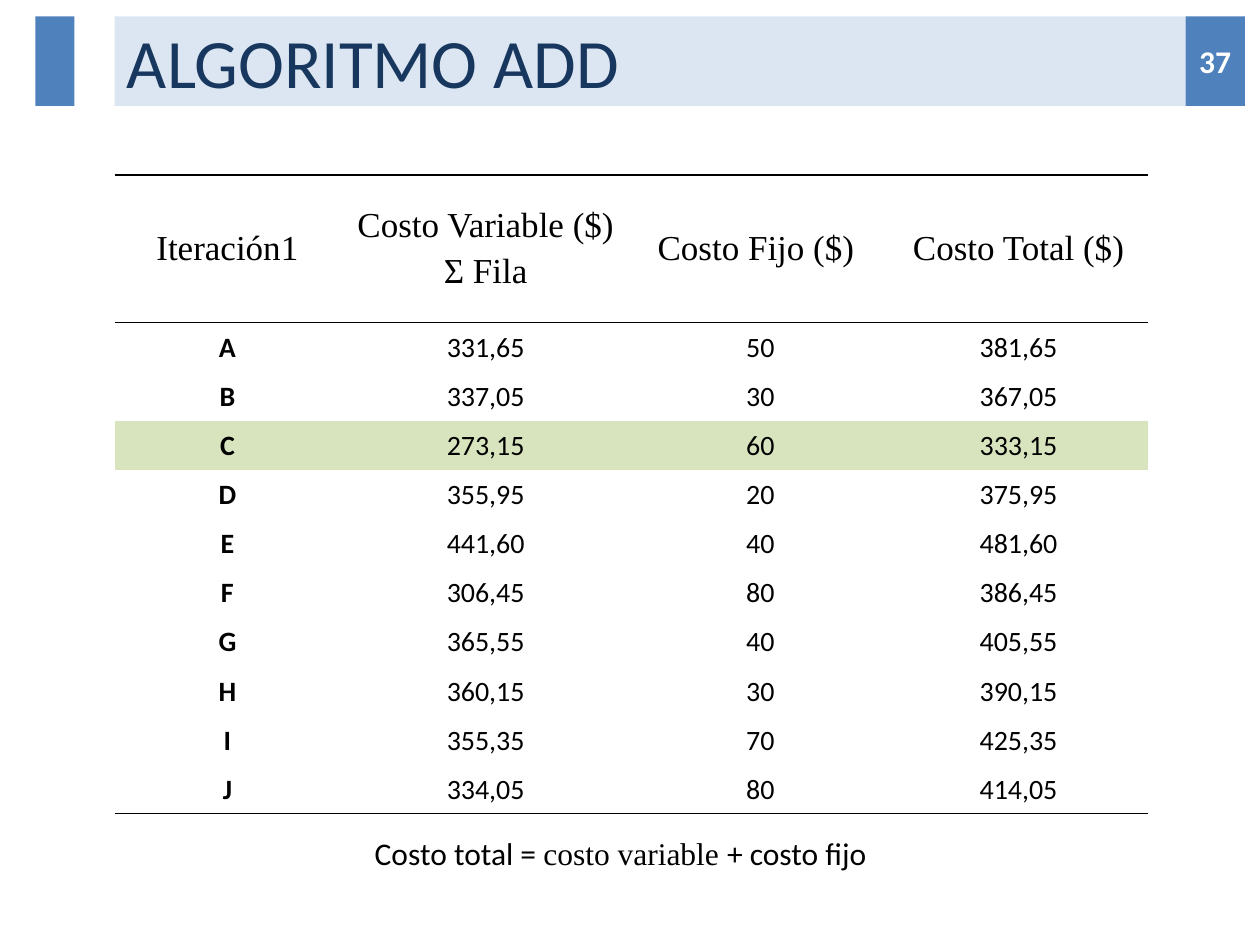
from lxml.etree import SubElement
from pptx import Presentation
from pptx.dml.color import RGBColor
from pptx.enum.shapes import MSO_SHAPE
from pptx.enum.text import MSO_ANCHOR, PP_ALIGN
from pptx.oxml.ns import qn
from pptx.util import Inches, Pt

BLACK = RGBColor(0x00, 0x00, 0x00)
WHITE = RGBColor(0xFF, 0xFF, 0xFF)
NAVY = RGBColor(0x17, 0x37, 0x5E)
BLUE = RGBColor(0x4F, 0x81, 0xBD)
PALE_BLUE = RGBColor(0xDC, 0xE6, 0xF2)
PALE_GREEN = RGBColor(0xD7, 0xE4, 0xBD)
SANS, SERIF = "Calibri", "Times New Roman"

HEADERS = ["Iteración1", "Costo Variable ($)\nΣ Fila", "Costo Fijo ($) ", "Costo Total ($)"]
COSTS = [  # location, variable cost, fixed cost
    ("A", 331.65, 50), ("B", 337.05, 30), ("C", 273.15, 60), ("D", 355.95, 20),
    ("E", 441.60, 40), ("F", 306.45, 80), ("G", 365.55, 40), ("H", 360.15, 30),
    ("I", 355.35, 70), ("J", 334.05, 80),
]
COLUMN_WIDTHS = [1.79, 2.31, 2.05, 2.05]
HEADER_HEIGHT, ROW_HEIGHT = 1.17, 0.39


def format_text(frame, size, font, color=BLACK, bold=False, align=PP_ALIGN.CENTER, before=0):
    for paragraph in frame.paragraphs:
        paragraph.alignment = align
        paragraph.space_before = Pt(before)
        for run in paragraph.runs:
            run.font.size, run.font.name, run.font.bold = Pt(size), font, bold
            run.font.color.rgb = color


def add_block(slide, left, top, width, height, fill, text=""):
    block = slide.shapes.add_shape(
        MSO_SHAPE.RECTANGLE, Inches(left), Inches(top), Inches(width), Inches(height))
    block.shadow.inherit = False
    block.fill.solid()
    block.fill.fore_color.rgb = fill
    block.line.fill.background()
    frame = block.text_frame
    frame.text = text
    frame.vertical_anchor = MSO_ANCHOR.MIDDLE
    return frame


def add_header(slide, left, top, width, height):
    page_width, accent_width, title_offset = 0.47, 0.31, 0.63
    page_left = left + width - page_width
    title_left = left + title_offset
    title = add_block(slide, title_left, top, page_left - title_left, height,
                      PALE_BLUE, "ALGORITMO ADD")
    format_text(title, 39.6, SANS, NAVY, align=PP_ALIGN.LEFT)
    add_block(slide, left, top, accent_width, height, BLUE)
    page = add_block(slide, page_left, top, page_width, height, BLUE, "37")
    page.margin_left = page.margin_right = 0
    format_text(page, 18, SANS, WHITE, bold=True)


def set_borders(cell, top, bottom):
    """Rule the chosen horizontal edges in black and clear the other edges."""
    properties = cell._tc.get_or_add_tcPr()
    for tag, ruled in (("lnL", False), ("lnR", False), ("lnT", top), ("lnB", bottom)):
        edge = SubElement(properties, qn(f"a:{tag}"), w=str(Pt(1)))
        if ruled:
            fill = SubElement(edge, qn("a:solidFill"))
            SubElement(fill, qn("a:srgbClr"), val=str(BLACK))
        else:
            SubElement(edge, qn("a:noFill"))


def with_comma(amount):
    return f"{amount:.2f}".replace(".", ",")


def add_cost_table(slide, left, top):
    rows = [HEADERS] + [
        [place, with_comma(variable), str(fixed), with_comma(variable + fixed)]
        for place, variable, fixed in COSTS]
    cheapest = min(COSTS, key=lambda cost: cost[1] + cost[2])[0]
    height = HEADER_HEIGHT + ROW_HEIGHT * len(COSTS)
    table = slide.shapes.add_table(
        len(rows), len(HEADERS), Inches(left), Inches(top),
        Inches(sum(COLUMN_WIDTHS)), Inches(height)).table
    table.first_row = table.horz_banding = False
    for column, width in zip(table.columns, COLUMN_WIDTHS):
        column.width = Inches(width)

    for r, values in enumerate(rows):
        table.rows[r].height = Inches(ROW_HEIGHT if r else HEADER_HEIGHT)
        for c, value in enumerate(values):
            cell = table.cell(r, c)
            cell.text_frame.text = value
            cell.vertical_anchor = MSO_ANCHOR.MIDDLE
            set_borders(cell, top=r < 2, bottom=r in (0, len(rows) - 1))
            if values[0] == cheapest:
                cell.fill.solid()
                cell.fill.fore_color.rgb = PALE_GREEN
            else:
                cell.fill.background()
            if r == 0:
                format_text(cell.text_frame, 20, SERIF, before=4)
            else:
                cell.margin_left = cell.margin_right = cell.margin_top = Inches(0.01)
                cell.margin_bottom = 0
                format_text(cell.text_frame, 16, SANS, bold=c == 0)


def add_formula(slide, left, top, width, height):
    frame = slide.shapes.add_textbox(
        Inches(left), Inches(top), Inches(width), Inches(height)).text_frame
    frame.word_wrap = True
    paragraph = frame.paragraphs[0]
    for text in ("Costo total = ", "costo variable ", "+ costo fijo"):
        paragraph.add_run().text = text
    format_text(frame, 18, SANS)
    paragraph.runs[1].font.name = SERIF


def main():
    prs = Presentation()
    prs.slide_width, prs.slide_height = Inches(10), Inches(7.5)
    slide = prs.slides.add_slide(prs.slide_layouts[6])
    add_header(slide, 0.28, 0.13, 9.6, 0.71)
    add_cost_table(slide, 0.91, 1.39)
    add_formula(slide, 2.01, 6.57, 5.83, 0.4)
    prs.save("out.pptx")


if __name__ == "__main__":
    main()
